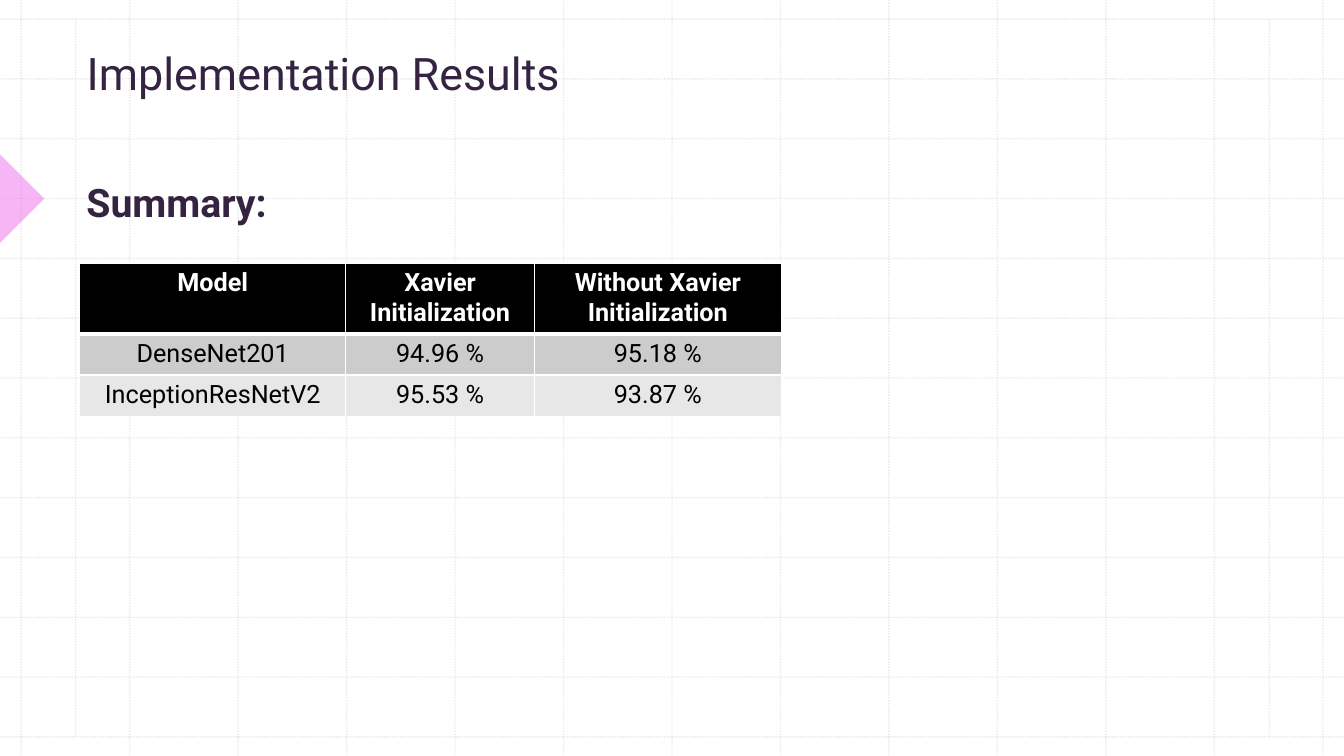
import dataclasses

import pptx
import pptx.dml.color
import pptx.enum.dml
import pptx.enum.shapes
import pptx.enum.text
import pptx.oxml.ns
import pptx.util
import lxml.etree

Inches = pptx.util.Inches
Pt = pptx.util.Pt
RGB = pptx.dml.color.RGBColor.from_string
Align = pptx.enum.text.PP_ALIGN
Anchor = pptx.enum.text.MSO_ANCHOR


@dataclasses.dataclass
class Theme:
    font: str = "Roboto"
    ink: str = "352441"
    grid: str = "BCBCBC"
    marker: str = "EE6EEE"
    white: str = "FFFFFF"
    black: str = "000000"
    rows: tuple = ("000000", "CCCCCC", "E7E7E7")
    title_size: int = 32
    heading_size: int = 28
    table_size: int = 18


theme = Theme()
qn = pptx.oxml.ns.qn


def style(para, size, color, bold=False, align=Align.LEFT):
    para.alignment = align
    para.font.name = theme.font
    para.font.size = Pt(size)
    para.font.bold = bold
    para.font.color.rgb = RGB(color)


def set_alpha(fill_parent, percent):
    color = next(fill_parent.iter(qn("a:srgbClr")))
    lxml.etree.SubElement(color, qn("a:alpha"), val=str(percent * 1000))


deck = pptx.Presentation()
deck.slide_width = Inches(13.33)
deck.slide_height = Inches(7.5)
width, height = 13.33, 7.5
page = deck.slides.add_slide(deck.slide_layouts[5])

grid_left, grid_right = 0.21, 13.12
grid_top, grid_bottom = 0.19, 7.31
steps = 12
column = (grid_right - grid_left) / steps
row = (grid_bottom - grid_top) / steps

grid_lines = [(0.75, grid_top, 0.75, grid_bottom), (12.59, grid_top, 12.59, grid_bottom)]
for step in range(steps + 1):
    x = grid_left + step * column
    y = grid_top + step * row
    grid_lines += [(x, 0, x, height), (0, y, width, y)]

for ends in grid_lines:
    line = page.shapes.add_connector(
        pptx.enum.shapes.MSO_CONNECTOR.STRAIGHT, *[Inches(end) for end in ends]
    )
    line.line.color.rgb = RGB(theme.grid)
    line.line.width = Pt(1)
    line.line.dash_style = pptx.enum.dml.MSO_LINE.ROUND_DOT
    set_alpha(line.line._ln, 30)
    lxml.etree.SubElement(line._element.spPr, qn("a:effectLst"))

marker_size = 0.62
marker = page.shapes.add_shape(
    pptx.enum.shapes.MSO_SHAPE.RIGHT_TRIANGLE,
    Inches(-marker_size / 2),
    Inches(grid_top + 3 * row - marker_size / 2),
    Inches(marker_size),
    Inches(marker_size),
)
marker.rotation = 225
marker.shadow.inherit = False
marker.fill.solid()
marker.fill.fore_color.rgb = RGB(theme.marker)
set_alpha(marker._element.spPr, 50)
marker.line.fill.background()

title = page.shapes.title
title.left, title.top = Inches(0.76), Inches(0.14)
title.width, title.height = Inches(11.29), Inches(0.9)
title.text_frame.text = "Implementation Results"
title.text_frame.vertical_anchor = Anchor.BOTTOM
title.text_frame.auto_size = pptx.enum.text.MSO_AUTO_SIZE.NONE
style(title.text_frame.paragraphs[0], theme.title_size, theme.ink)
page.shapes._spTree.append(title._element)

heading = page.shapes.add_textbox(Inches(0.76), Inches(1.7), Inches(12.33), Inches(0.6))
heading.text_frame.word_wrap = True
heading.text_frame.vertical_anchor = Anchor.MIDDLE
heading.text_frame.text = "Summary:"
style(heading.text_frame.paragraphs[0], theme.heading_size, theme.ink, bold=True)

results = [
    ("Model", "Xavier Initialization", "Without Xavier Initialization"),
    ("DenseNet201", "94.96 %", "95.18 %"),
    ("InceptionResNetV2", "95.53 %", "93.87 %"),
]
column_widths = (2.64, 1.87, 2.45)
row_heights = (0.69, 0.41, 0.41)
table = page.shapes.add_table(
    len(results), len(column_widths), Inches(0.79), Inches(2.61),
    Inches(sum(column_widths)), Inches(sum(row_heights)),
).table
for index, size in enumerate(column_widths):
    table.columns[index].width = Inches(size)

for row_index, values in enumerate(results):
    table.rows[row_index].height = Inches(row_heights[row_index])
    is_header = row_index == 0
    for column_index, value in enumerate(values):
        cell = table.cell(row_index, column_index)
        cell.text = value
        cell.fill.solid()
        cell.fill.fore_color.rgb = RGB(theme.rows[row_index])
        style(
            cell.text_frame.paragraphs[0],
            theme.table_size,
            theme.white if is_header else theme.black,
            bold=is_header,
            align=Align.CENTER,
        )
        properties = cell._tc.get_or_add_tcPr()
        for order, side in enumerate(("lnL", "lnR", "lnT", "lnB")):
            thick = (is_header and side == "lnB") or (row_index == 1 and side == "lnT")
            border = lxml.etree.Element(qn("a:" + side), w=str(Pt(3 if thick else 1)))
            fill = lxml.etree.SubElement(border, qn("a:solidFill"))
            lxml.etree.SubElement(fill, qn("a:srgbClr"), val=theme.white)
            properties.insert(order, border)

deck.save("out.pptx")
